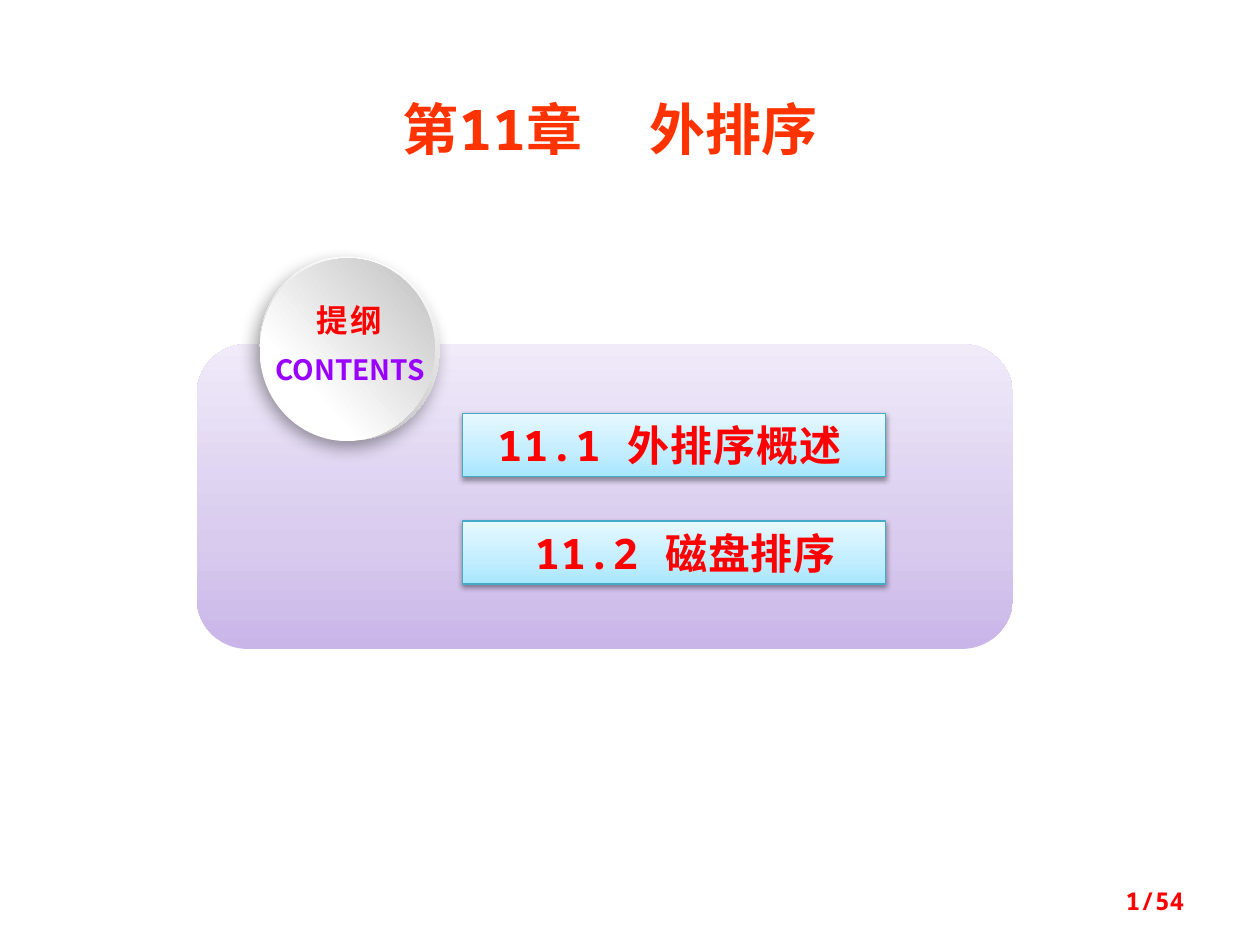
from lxml.etree import SubElement
from pptx import Presentation
from pptx.dml.color import RGBColor
from pptx.enum.shapes import MSO_SHAPE as SHAPE
from pptx.enum.text import MSO_ANCHOR as ANCHOR, PP_ALIGN as ALIGN
from pptx.oxml.ns import qn
from pptx.util import Pt

RED = RGBColor(0xFF, 0x00, 0x00)
ORANGE = RGBColor(0xFF, 0x33, 0x00)
VIOLET = RGBColor(0x99, 0x00, 0xFF)
WHITE = RGBColor(0xFF, 0xFF, 0xFF)
BLACK = RGBColor(0x00, 0x00, 0x00)
TEAL = RGBColor(0x46, 0xAA, 0xC5)
SILVER = RGBColor(0xB8, 0xB8, 0xB8)
LIGHT_GREY = RGBColor(0xBF, 0xBF, 0xBF)
LILACS = [(0, RGBColor(0xC9, 0xB5, 0xE8)), (35, RGBColor(0xD8, 0xCB, 0xEE)),
          (100, RGBColor(0xF0, 0xEA, 0xF9))]
BLUES = [(0, RGBColor(0xA7, 0xE6, 0xFF)), (35, RGBColor(0xC1, 0xED, 0xFF)),
         (100, RGBColor(0xE7, 0xF8, 0xFF))]
MONO = "Noto Sans Mono"
SANS = "Noto Sans CJK SC"


def set_gradient(sp, stops, angle):
    """Fill a shape with percent-positioned stops at a counterclockwise angle."""
    sp.fill.gradient()
    sp.fill.gradient_angle = angle
    stop_list = sp._element.spPr.find(".//" + qn("a:gsLst"))
    for old in list(stop_list):
        stop_list.remove(old)
    for pos, color in stops:
        stop = SubElement(stop_list, qn("a:gs"), pos=str(pos * 1000))
        SubElement(stop, qn("a:srgbClr"), val=str(color))


def set_shadow(sp, alpha, blur, dist, direction):
    """Give a shape a soft black outer shadow."""
    effects = sp._element.spPr.find(qn("a:effectLst"))
    shadow = SubElement(effects, qn("a:outerShdw"), blurRad=str(Pt(blur)),
                        dist=str(Pt(dist)), dir=str(direction * 60000),
                        algn="ctr", rotWithShape="0")
    color = SubElement(shadow, qn("a:srgbClr"), val=str(BLACK))
    SubElement(color, qn("a:alpha"), val=str(alpha * 1000))


def add_panel(shapes, kind, box, stops, angle):
    """Add a gradient shape without outline."""
    sp = shapes.add_shape(kind, *map(Pt, box))
    sp.shadow.inherit = False
    sp.line.fill.background()
    set_gradient(sp, stops, angle)
    return sp


def write(sp, text, size, color, font=MONO, align=ALIGN.CENTER, spacing=0, wrap=True):
    """Write one bold line in a shape, centred vertically."""
    tf = sp.text_frame
    tf.word_wrap = wrap
    tf.vertical_anchor = ANCHOR.MIDDLE
    p = tf.paragraphs[0]
    p.alignment = align
    r = p.add_run()
    r.text = text
    r.font.name, r.font.size, r.font.bold = font, Pt(size), True
    r.font.color.rgb = color
    rpr = r.font._element
    rpr.set("spc", str(int(spacing * 100)))
    SubElement(rpr, qn("a:ea"), typeface=font)


def add_label(shapes, box, *args, **kwargs):
    """Add a text box holding one line."""
    write(shapes.add_textbox(*map(Pt, box)), *args, **kwargs)


def add_title(s, text):
    """Place and format the title placeholder."""
    sp = s.shapes.title
    sp.left, sp.top, sp.width, sp.height = map(Pt, (213.8, 50.4, 270, 46))
    sp.fill.solid()
    sp.fill.fore_color.rgb = WHITE
    sp.line.color.rgb = WHITE
    sp.line.width = Pt(2)
    write(sp, text, 32, ORANGE)


def add_section(s, top, text, align):
    """Add one section card."""
    sp = add_panel(s.shapes, SHAPE.RECTANGLE, (264.2, top, 242, 36), BLUES, 90)
    sp.line.color.rgb = TEAL
    sp.line.width = Pt(0.75)
    set_shadow(sp, 38, 3.1, 1.6, 90)
    sp.text_frame.margin_left = Pt(20)
    write(sp, text, 24, RED, align=align, spacing=0.5)


def add_badge(s):
    """Add the round contents badge with its two labels."""
    shapes = s.shapes.add_group_shape().shapes
    rim = add_panel(shapes, SHAPE.OVAL, (146.9, 148.3, 105.8, 101.5),
                    [(17, WHITE), (88, SILVER)], 315)
    rim.rotation = 62.3
    set_shadow(rim, 39, 10, 5, 123)
    face = add_panel(shapes, SHAPE.OVAL, (146.2, 149.8, 104.4, 100.1),
                     [(29, WHITE), (98, LIGHT_GREY)], 315)
    face.rotation = 273
    add_label(shapes, (141.8, 198, 116.6, 26.6), "CONTENTS", 16, VIOLET, SANS)
    add_label(shapes, (170.6, 168.5, 57.6, 28.8), "提纲", 18, RED, SANS,
              spacing=1.5, wrap=False)


def main():
    """Build the chapter outline slide."""
    prs = Presentation()
    prs.slide_width, prs.slide_height = Pt(720), Pt(540)
    s = prs.slides.add_slide(prs.slide_layouts[5])
    add_title(s, "第11章  外排序")
    add_panel(s.shapes, SHAPE.ROUNDED_RECTANGLE, (112.3, 196.6, 466.6, 174.2), LILACS, 90)
    sections = [("11.1 外排序概述", ALIGN.LEFT), ("11.2 磁盘排序", ALIGN.CENTER)]
    for i, (text, align) in enumerate(sections):
        add_section(s, 236.2 + i * 61.6, text, align)
    add_badge(s)
    add_label(s.shapes, (516.2, 500.4, 167.8, 28.8), "1/54", 14, RED, align=ALIGN.RIGHT)
    prs.save("out.pptx")


if __name__ == "__main__":
    main()
